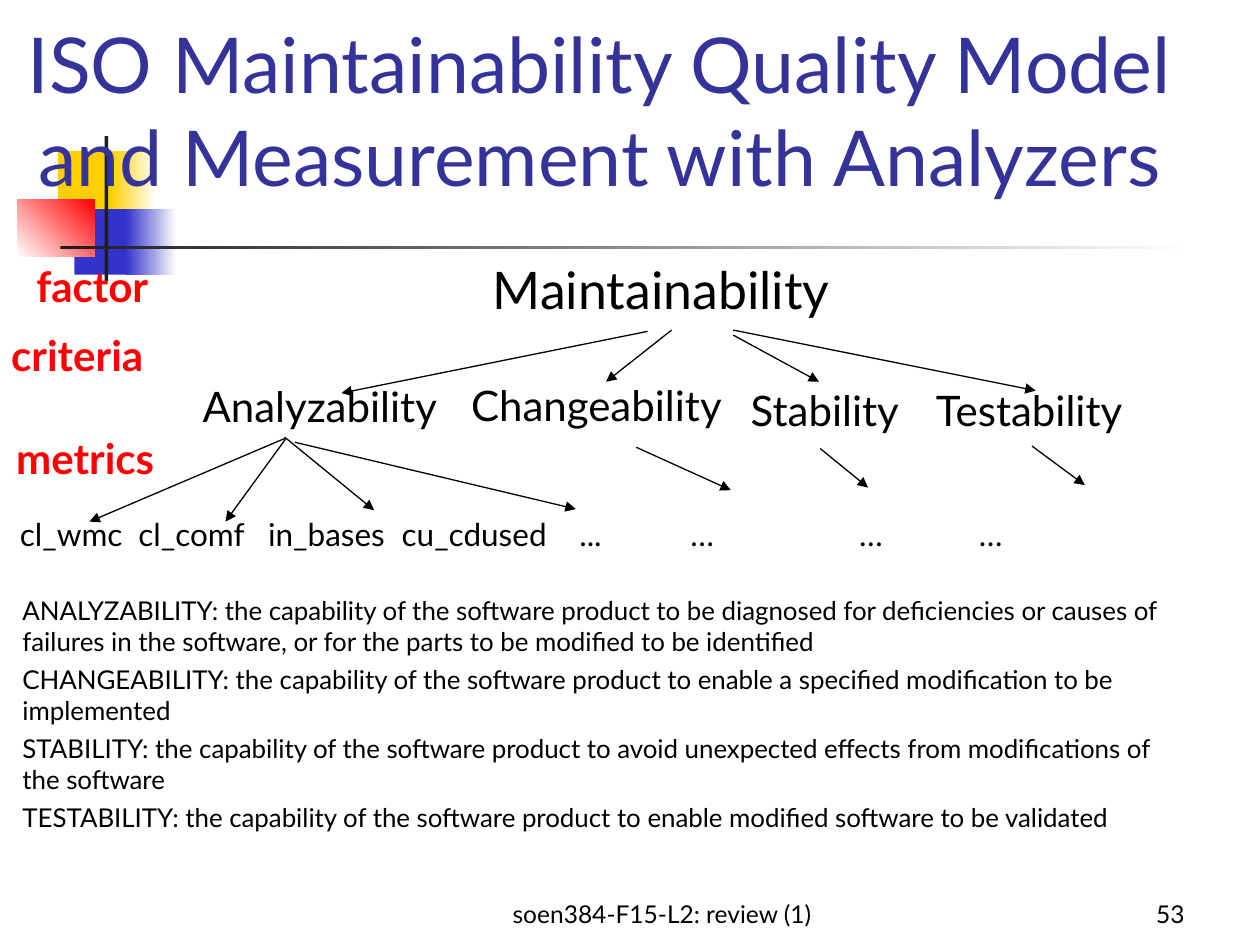
from lxml.etree import SubElement
from pptx import Presentation
from pptx.dml.color import RGBColor
from pptx.enum.shapes import MSO_CONNECTOR, MSO_SHAPE
from pptx.enum.text import MSO_ANCHOR, MSO_AUTO_SIZE, PP_ALIGN
from pptx.oxml.ns import qn
from pptx.util import Inches, Pt

FONT = "Lato"
HUES = {"black": "000000", "ink": "1C1C1C", "white": "FFFFFF", "gold": "FFCF01",
        "blue": "3333CC", "red": "FF0000", "title": "333399"}

TITLE = "ISO Maintainability Quality Model and Measurement with Analyzers"
FACTOR = "Maintainability"
LEVELS = [("factor", 0.19, 2.02), ("criteria", -0.01, 2.57), ("metrics", 0.03, 3.38)]
CRITERIA = [("Analyzability", 1.51, 2.97), ("Changeability", 3.64, 2.96),
            ("Stability", 5.86, 3), ("Testability", 7.33, 3)]
METRICS = ["cl_wmc", "cl_comf", "in_bases", "cu_cdused", "...", "…", "…", "…"]
STOPS = [0.94, 1.97, 3.03, 4.44, 5.32, 6.66, 7.61]
TERMS = [
    "ANALYZABILITY: the capability of the software product to be diagnosed for "
    "deficiencies or causes of failures in the software, or for the parts to be "
    "modified to be identified",
    "CHANGEABILITY: the capability of the software product to enable a specified "
    "modification to be implemented",
    "STABILITY: the capability of the software product to avoid unexpected effects "
    "from modifications of the software",
    "TESTABILITY: the capability of the software product to enable modified software "
    "to be validated",
]
FOOTER = "soen384-F15-L2: review (1)"
NUMBER = "53"

BLOCKS = [
    ((0.46, 1.2, 0.48, 0.52), ["gold"], 0),
    ((0.88, 1.2, 0.36, 0.52), ["gold", "white"], 0),
    ((0.59, 1.66, 0.46, 0.52), ["blue"], 0),
    ((1, 1.66, 0.4, 0.52), ["blue", "white"], 0),
    ((0.14, 1.58, 0.61, 0.46), ["white", "red"], 45),
    ((0.83, 1.08, 0.03, 1.15), ["ink"], 0),
    ((0.48, 1.95, 9, 0.03), ["ink", "white"], 0),
]
ARROWS = [
    (5.14, 2.63, 2.71, 3.12), (5.33, 2.62, 4.81, 3.03),
    (5.82, 2.66, 6.5, 3.03), (5.82, 2.62, 8.22, 3.1),
    (2.26, 3.48, 0.71, 4.14), (2.27, 3.48, 1.79, 4.14),
    (2.26, 3.47, 2.97, 4.05), (2.34, 3.51, 4.57, 4.04),
    (5.05, 3.55, 5.8, 3.89), (6.51, 3.56, 6.89, 3.87), (8.19, 3.54, 8.61, 3.85),
]


def shade(name):
    return RGBColor.from_string(HUES[name])


def block(slide, area, hues, angle):
    shape = slide.shapes.add_shape(MSO_SHAPE.RECTANGLE, *map(Inches, area))
    shape.shadow.inherit = False
    shape.line.fill.background()
    if len(hues) == 1:
        shape.fill.solid()
        shape.fill.fore_color.rgb = shade(hues[0])
        return
    shape.fill.gradient()
    shape.fill.gradient_angle = angle
    for stop, hue in zip(shape.fill.gradient_stops, hues):
        stop.color.rgb = shade(hue)


def write(frame, lines, size, hue="black", bold=False, align=PP_ALIGN.LEFT,
          anchor=MSO_ANCHOR.TOP, gap=0, stops=()):
    frame.word_wrap = True
    frame.auto_size = MSO_AUTO_SIZE.NONE
    frame.vertical_anchor = anchor
    for i, line in enumerate(lines):
        para = frame.add_paragraph() if i else frame.paragraphs[0]
        para.alignment = align
        if i:
            para.space_before = Pt(gap)
        if stops:
            tabs = SubElement(para._p.get_or_add_pPr(), qn("a:tabLst"))
            for pos in stops:
                SubElement(tabs, qn("a:tab"), pos=str(Inches(pos)), algn="l")
        run = para.add_run()
        run.text = line
        font = run.font
        font.name, font.size, font.bold = FONT, Pt(size), bold
        font.color.rgb = shade(hue)


def label(slide, area, lines, size, **style):
    box = slide.shapes.add_textbox(*map(Inches, area))
    write(box.text_frame, lines, size, **style)


def arrow(slide, ends):
    line = slide.shapes.add_connector(MSO_CONNECTOR.STRAIGHT, *map(Inches, ends))
    line.line.color.rgb = shade("black")
    line.line.width = Pt(0.75)
    SubElement(line.line._get_or_add_ln(), qn("a:tailEnd"), type="triangle")
    SubElement(line._element.spPr, qn("a:effectLst"))


def main():
    """Build the maintainability quality model slide."""
    deck = Presentation()
    deck.slide_width, deck.slide_height = Inches(10), Inches(7.5)
    slide = deck.slides.add_slide(deck.slide_layouts[5])

    for area, hues, angle in BLOCKS:
        block(slide, area, hues, angle)

    title = slide.shapes.title
    title.left, title.top = Inches(-0.13), Inches(0.4)
    title.width, title.height = Inches(9.78), Inches(1.25)
    write(title.text_frame, [TITLE], 44, hue="title", align=PP_ALIGN.CENTER,
          anchor=MSO_ANCHOR.BOTTOM)
    title._element.getparent().append(title._element)

    label(slide, (3.25, 2, 4, 0.6), [FACTOR], 29.6, align=PP_ALIGN.CENTER)
    for text, x, y in LEVELS:
        label(slide, (x, y, 1.65, 0.5), [text], 24, hue="red", bold=True)
    for text, x, y in CRITERIA:
        label(slide, (x, y, 2.25, 0.5), [text], 24)
    label(slide, (0.06, 4.04, 9.02, 0.4), ["\t".join(METRICS)], 18, stops=STOPS)
    label(slide, (0.08, 4.67, 9.4, 2.1), TERMS, 14.8, gap=4)
    for ends in ARROWS:
        arrow(slide, ends)

    label(slide, (3.67, 6.92, 3.17, 0.5), [FOOTER], 14, align=PP_ALIGN.CENTER,
          anchor=MSO_ANCHOR.BOTTOM)
    label(slide, (7.42, 6.92, 2.08, 0.5), [NUMBER], 14, align=PP_ALIGN.RIGHT,
          anchor=MSO_ANCHOR.BOTTOM)
    deck.save("out.pptx")


if __name__ == "__main__":
    main()
